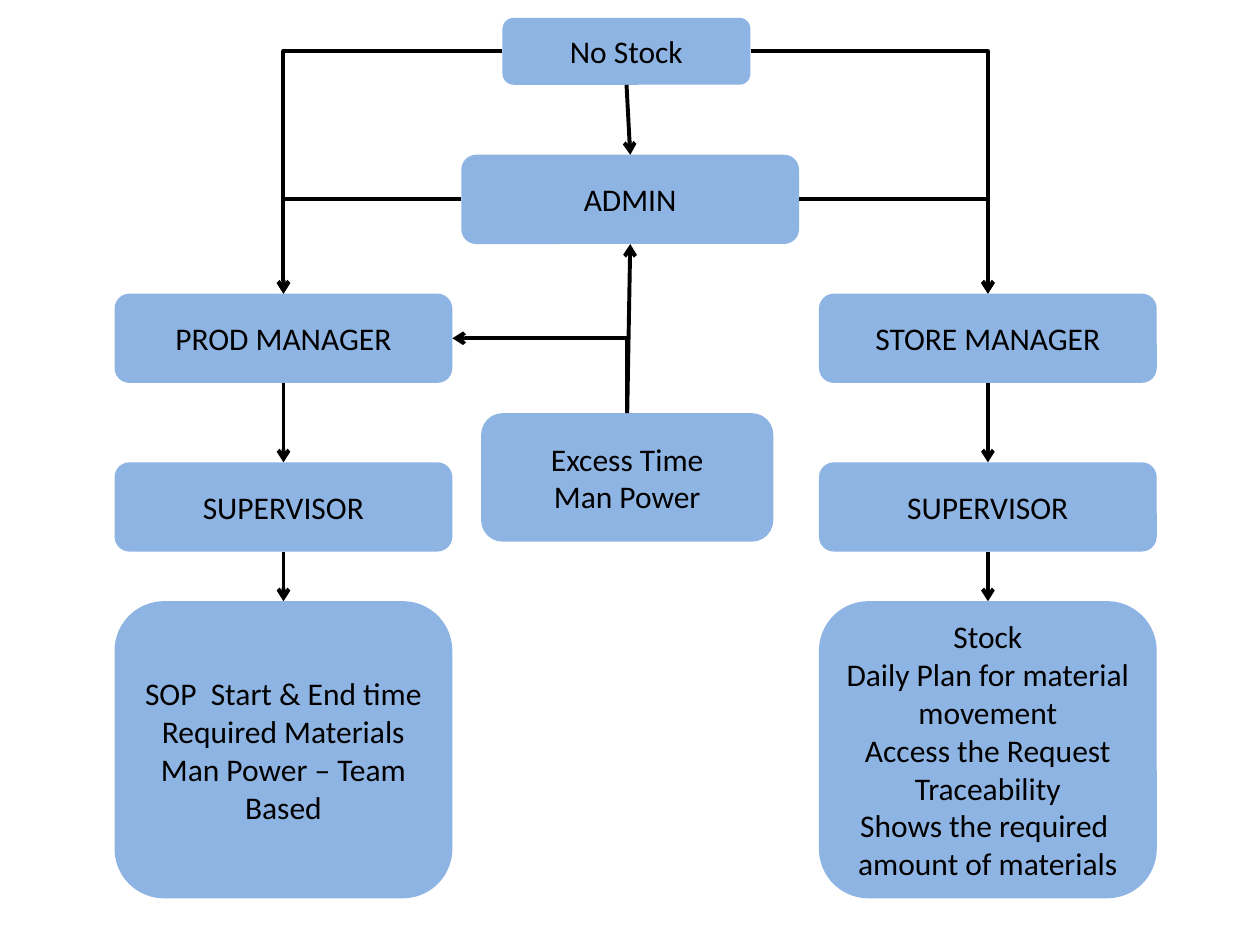
import pptx
import pptx.util
import pptx.dml.color
import pptx.enum.shapes
import pptx.enum.text
import pptx.oxml.ns
import lxml.etree

Cm = pptx.util.Cm
Pt = pptx.util.Pt
qn = pptx.oxml.ns.qn
KIND = pptx.enum.shapes.MSO_CONNECTOR
TOP, LEFT, BOTTOM, RIGHT = range(4)
BLUE, BLACK = "8EB4E3", "000000"
WIDE, TALL = 6.81, 1.8


def paint(color, code):
    color.rgb = pptx.dml.color.RGBColor.from_string(code)


def add_box(slide, text, x, y, w=WIDE, h=TALL):
    """Add a rounded box; in text, \\n starts a paragraph and \\v a line."""
    box = slide.shapes.add_shape(
        pptx.enum.shapes.MSO_SHAPE.ROUNDED_RECTANGLE, Cm(x), Cm(y), Cm(w), Cm(h))
    box.shadow.inherit = False
    box.fill.solid()
    paint(box.fill.fore_color, BLUE)
    box.line.fill.background()
    frame = box.text_frame
    frame.word_wrap = True
    frame.vertical_anchor = pptx.enum.text.MSO_ANCHOR.MIDDLE
    frame.text = text
    for para in frame.paragraphs:
        para.alignment = pptx.enum.text.PP_ALIGN.CENTER
        para.font.name = "Calibri"
        para.font.size = Pt(18)
        paint(para.font.color, BLACK)
    return box


def add_link(slide, start, side, goal, edge, kind=KIND.STRAIGHT, end="tailEnd"):
    """Join two boxes; end names the end that bears the arrowhead."""
    link = slide.shapes.add_connector(kind, 0, 0, 0, 0)
    link.begin_connect(start, side)
    link.end_connect(goal, edge)
    link.line.width = Pt(2.25)
    paint(link.line.color, BLACK)
    props = link._element.spPr
    lxml.etree.SubElement(props.find(qn("a:ln")), qn("a:" + end), type="arrow")
    lxml.etree.SubElement(props, qn("a:effectLst"))
    return link


def add_bend(slide, start, side, goal, edge, end="tailEnd"):
    """Join two boxes with one corner, going sideways first."""
    link = add_link(slide, start, side, goal, edge, KIND.ELBOW, end)
    link._element.spPr.find(qn("a:prstGeom")).set("prst", "bentConnector2")


def add_branch(slide, x, role, duties):
    """Stack a manager, a supervisor and the duties; return the manager."""
    chief = add_box(slide, role, x, 5.92)
    lead = add_box(slide, "SUPERVISOR", x, 9.32)
    tasks = add_box(slide, duties, x, 12.12, h=5.99)
    add_link(slide, chief, BOTTOM, lead, TOP)
    add_link(slide, lead, BOTTOM, tasks, TOP)
    return chief


def main():
    deck = pptx.Presentation()
    deck.slide_width, deck.slide_height = Cm(25.4), Cm(19.05)
    slide = deck.slides.add_slide(deck.slide_layouts[6])

    admin = add_box(slide, "ADMIN", 9.3, 3.12)
    prod = add_branch(
        slide, 2.31, "PROD MANAGER",
        "SOP  Start & End time\vRequired Materials\nMan Power – Team Based")
    store = add_branch(
        slide, 16.51, "STORE MANAGER",
        "Stock\vDaily Plan for material movement\vAccess the Request\v"
        "Traceability\vShows the required  amount of materials")
    excess = add_box(slide, "Excess Time\vMan Power", 9.7, 8.33, 5.89, 2.59)
    stock = add_box(slide, "No Stock", 10.13, 0.36, 5, 1.35)

    for source in (admin, stock):
        add_bend(slide, source, LEFT, prod, TOP)
        add_bend(slide, source, RIGHT, store, TOP)
    add_bend(slide, prod, RIGHT, excess, TOP, "headEnd")
    add_link(slide, excess, TOP, admin, BOTTOM)
    add_link(slide, stock, BOTTOM, admin, TOP)
    deck.save("out.pptx")


if __name__ == "__main__":
    main()
